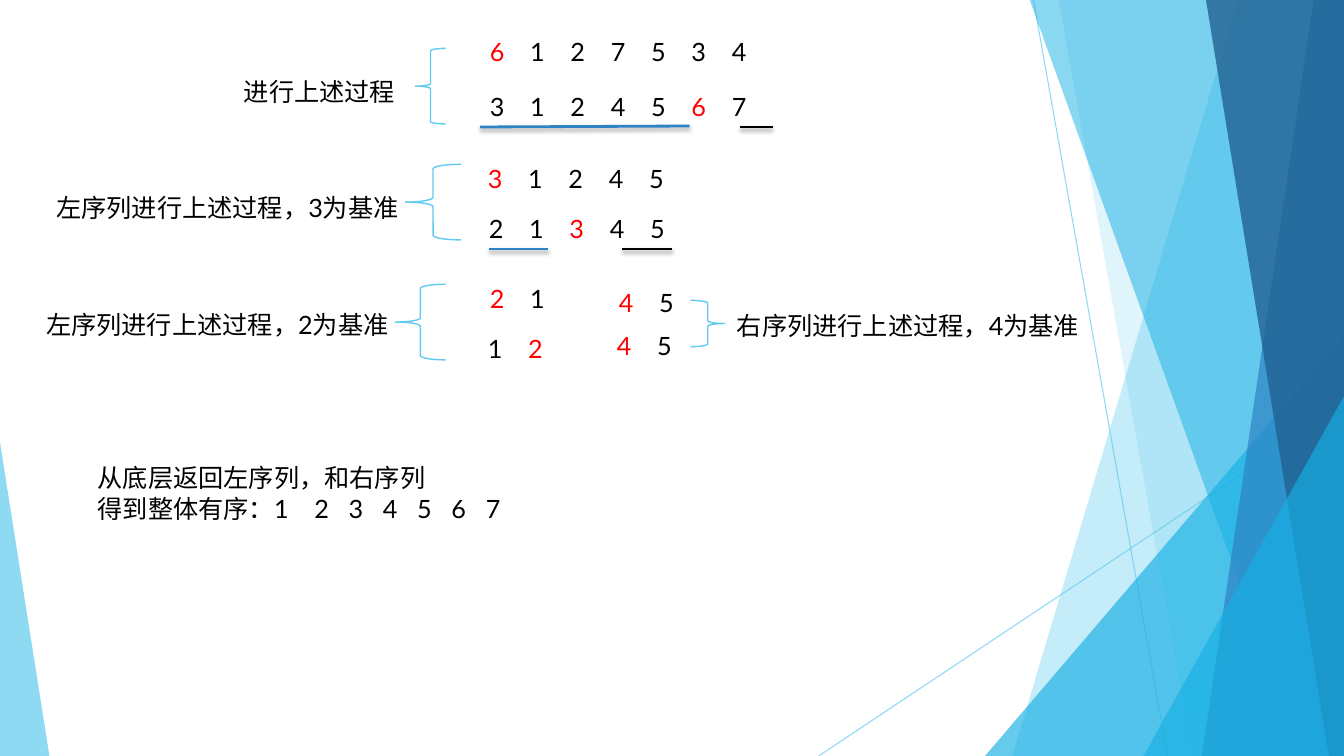
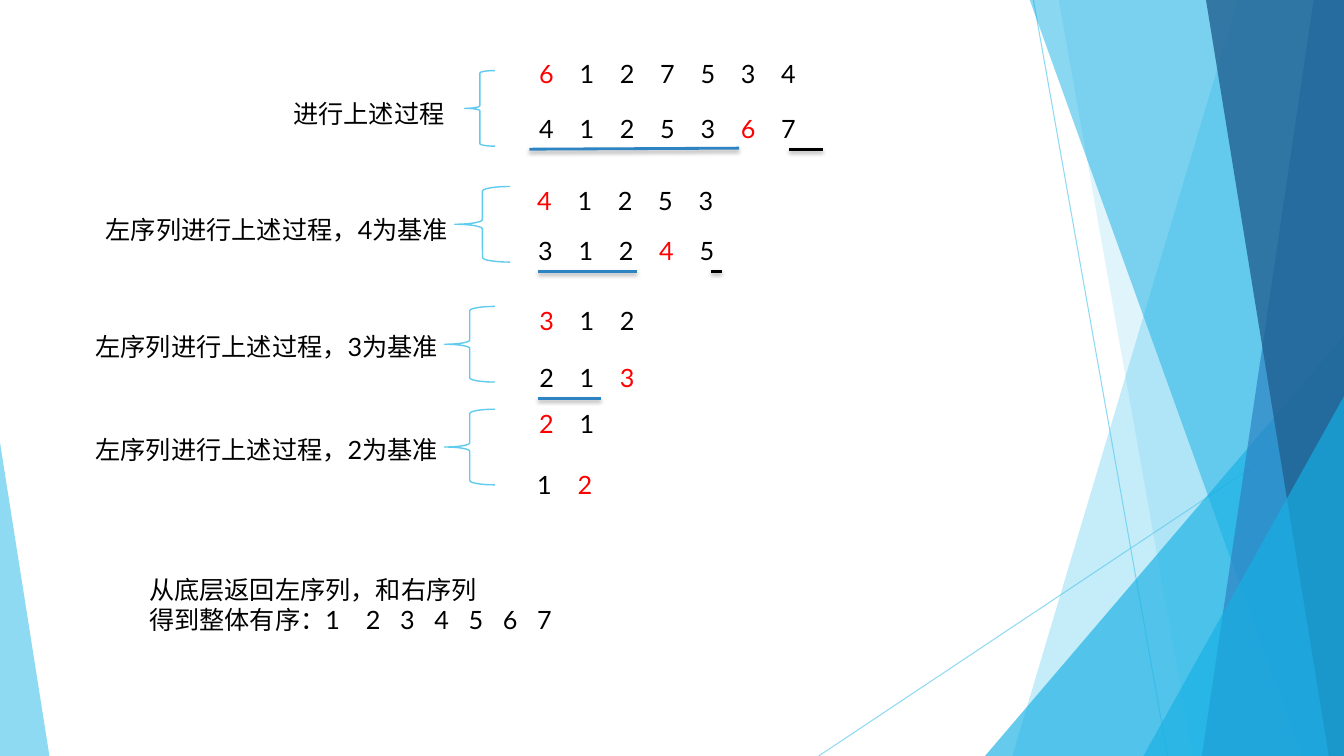
from lxml import etree
from pptx import Presentation
from pptx.dml.color import RGBColor
from pptx.enum.shapes import MSO_CONNECTOR, MSO_SHAPE
from pptx.enum.text import MSO_AUTO_SIZE
from pptx.oxml.ns import qn
from pptx.util import Emu, Pt

LINE = MSO_CONNECTOR.STRAIGHT
WEDGE = MSO_SHAPE.ISOSCELES_TRIANGLE
LEFT = MSO_SHAPE.LEFT_BRACE
RIGHT = MSO_SHAPE.RIGHT_BRACE
GROW = MSO_AUTO_SIZE.SHAPE_TO_FIT_TEXT

SCALE = 9144
WIDE, HIGH = 1333, 750
COLORS = {
    "sky": "5FCBEF",
    "cyan": "17B0E4",
    "blue": "2E83C3",
    "navy": "226292",
    "black": "000000",
    "red": "FF0000",
}


def px(size):
    return Emu(size * SCALE)


def tint(name):
    return RGBColor.from_string(COLORS[name])


def fade(shape, alpha):
    color = shape.element.spPr.find(".//" + qn("a:srgbClr"))
    etree.SubElement(color, qn("a:alpha"), val=str(alpha * 1000))


class Deck:
    font = "Lato"
    size = Pt(18)

    def __init__(self):
        self.show = Presentation()
        self.show.slide_width, self.show.slide_height = px(WIDE), px(HIGH)
        self.base = self.show.slide_layouts[6]
        for holder in list(self.base.placeholders):
            holder.element.getparent().remove(holder.element)
        self.ready = False

    def page(self, left=0, top=0):
        self.slide = self.show.slides.add_slide(self.base)
        self.left, self.top = left, top
        if not self.ready:
            self.decor()
            self.ready = True

    def place(self, x, y):
        return px(x + self.left), px(y + self.top)

    def paint(self, shape, color, alpha):
        shape.shadow.inherit = False
        shape.fill.solid()
        shape.fill.fore_color.rgb = tint(color)
        shape.line.fill.background()
        fade(shape, alpha)

    def line(self, start, end, color, width):
        line = self.slide.shapes.add_connector(LINE, *start, *end)
        line.line.color.rgb = tint(color)
        line.line.width = Pt(width)
        return line, etree.SubElement(line.element.spPr, qn("a:effectLst"))

    def ray(self, start, end):
        line, _ = self.line(map(px, start), map(px, end), "sky", 0.75)
        fade(line, 70)

    def band(self, head, foot, color, alpha):
        pen = self.slide.shapes.build_freeform(head, -1, scale=SCALE)
        pen.add_line_segments([(WIDE, -1), (WIDE, HIGH), (foot, HIGH)])
        self.paint(pen.convert_to_shape(), color, alpha)

    def wedge(self, x, y, width, peak, color, alpha):
        shape = self.slide.shapes.add_shape(
            WEDGE, px(x), px(y), px(width), px(HIGH - y))
        shape.adjustments[0] = peak
        self.paint(shape, color, alpha)

    def decor(self):
        self.ray((1025, 0), (1158, HIGH))
        self.ray((WIDE, 403), (812, HIGH))
        self.band(1228, 1004, "sky", 36)
        self.band(1050, 1183, "sky", 20)
        self.wedge(977, 333, 356, 1, "cyan", 66)
        self.band(1021, 1291, "cyan", 50)
        self.band(1303, 1192, "blue", 70)
        self.band(1196, 1318, "navy", 80)
        self.wedge(1134, 393, 199, 1, "cyan", 66)
        self.wedge(0, 439, 49, 0, "sky", 70)
        for shape in list(self.slide.shapes):
            self.base.shapes.element.append(shape.element)

    def frame(self, x, y, width, height=40):
        box = self.slide.shapes.add_textbox(
            *self.place(x, y), px(width), px(height))
        box.text_frame.word_wrap = True
        box.text_frame.auto_size = GROW
        return box.text_frame

    def style(self, run, color="black"):
        run.font.name = self.font
        run.font.size = self.size
        run.font.color.rgb = tint(color)

    def stops(self, par, first, step, count):
        tabs = etree.SubElement(par._p.get_or_add_pPr(), qn("a:tabLst"))
        for i in range(count):
            etree.SubElement(tabs, qn("a:tab"), algn="l",
                             pos=str(px(first + i * step)))

    def label(self, x, y, width, text, height=40):
        frame = self.frame(x, y, width, height)
        frame.text = text
        for par in frame.paragraphs:
            for run in par.runs:
                self.style(run)
        return frame

    def row(self, x, y, width, digits, pivot):
        par = self.frame(x, y, width).paragraphs[0]
        self.stops(par, 40, 40, len(digits) - 1)
        for i, digit in enumerate(digits):
            run = par.add_run()
            run.text = "\t" + digit if i else digit
            self.style(run, "red" if digit == pivot else "black")

    def rule(self, start, end, y, color, lift=0):
        _, effects = self.line(
            self.place(start, y), self.place(end, y - lift), color, 2)
        shade = etree.SubElement(
            effects, qn("a:outerShdw"), blurRad=str(Pt(3)), dist=str(Pt(2)),
            dir="5400000", rotWithShape="0")
        black = etree.SubElement(
            shade, qn("a:srgbClr"), val=COLORS["black"])
        etree.SubElement(black, qn("a:alpha"), val="35000")

    def brace(self, x, y, width, height=75, kind=LEFT):
        shape = self.slide.shapes.add_shape(
            kind, *self.place(x, y), px(width), px(height))
        shape.shadow.inherit = False
        shape.fill.background()
        shape.line.color.rgb = tint("sky")
        shape.line.width = Pt(1)

    def note(self, x, y, width, pivot, side="左"):
        self.label(x, y, width, f"{side}序列进行上述过程，{pivot}为基准")

    def start(self, after):
        self.row(476, 31, 310, "6127534", "6")
        self.row(476, 86, 310, after, "6")
        self.rule(476, 684, 126, "blue", 1)
        self.rule(734, 767, 126, "black")
        self.brace(412, 48, 30)
        self.label(232, 71, 180, "进行上述过程")

    def split(self, before, after, left, right):
        pivot = before[0]
        self.row(474, 157, 210, before, pivot)
        self.row(475, 207, 217, after, pivot)
        self.rule(485, left, 247, "blue")
        self.rule(right, 667, 247, "black")
        self.brace(402, 163, 55)
        self.note(46, 186, 381, pivot)

    def level(self, y, before, after, x, drop, width):
        pivot = before[0]
        self.row(476, y, width, before, pivot)
        self.row(x, y + drop, width, after, pivot)
        self.brace(392, y + 6, 50)
        self.note(36, y + 26, 366, pivot)

    def result(self, x, y):
        digits = "\t".join("1234567")
        frame = self.label(
            x, y, 647, f"从底层返回左序列，和右序列\n得到整体有序：{digits}", 71)
        self.stops(frame.paragraphs[1], 215, 34, 6)


def main():
    deck = Deck()

    deck.page()
    deck.start("3124567")
    deck.split("31245", "21345", 544, 617)
    deck.level(276, "21", "12", 474, 50, 83)
    deck.row(604, 280, 83, "45", "4")
    deck.row(602, 323, 83, "45", "4")
    deck.brace(685, 298, 34, 46, RIGHT)
    deck.note(721, 303, 370, "4", "右")
    deck.result(87, 454)

    deck.page(49, 22)
    deck.start("4125367")
    deck.split("41253", "31245", 583, 656)
    deck.level(276, "312", "213", 476, 57, 142)
    deck.rule(485, 547, 373, "blue")
    deck.level(378, "21", "12", 474, 61, 90)
    deck.result(89, 543)

    deck.show.save("out.pptx")


if __name__ == "__main__":
    main()
